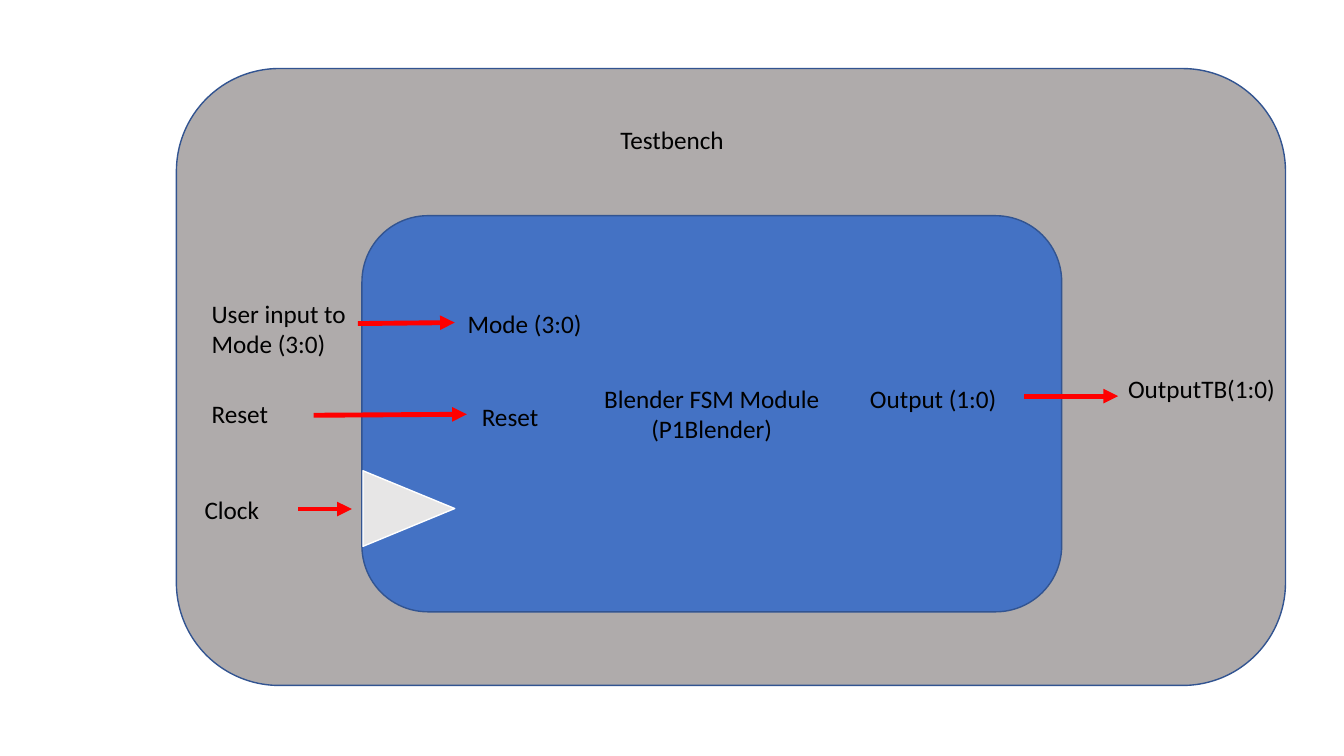
import pptx
import pptx.util
import pptx.dml.color
import pptx.enum.shapes
import pptx.enum.text
import pptx.oxml
import pptx.oxml.ns
from pptx.util import Inches

SHAPE = pptx.enum.shapes.MSO_SHAPE
ALIGN = pptx.enum.text.PP_ALIGN


def rgb(value):
    return pptx.dml.color.RGBColor.from_string(value)


def write(tf, text, size=18, font="Calibri", color="000000", align=ALIGN.LEFT):
    p = tf.paragraphs[0]
    p.alignment = align
    r = p.add_run()
    r.text = text
    r.font.size = pptx.util.Pt(size)
    r.font.name = font
    r.font.color.rgb = rgb(color)


class Diagram:
    """Style and current slide of the block diagram."""
    outline = "325491"
    signal = "FF0000"

    def __init__(self, s):
        self.s = s

    def block(self, kind, x, y, w, h, fill, line=outline, rotation=0):
        sp = self.s.shapes.add_shape(kind, Inches(x), Inches(y), Inches(w), Inches(h))
        sp.shadow.inherit = False
        sp.fill.solid()
        sp.fill.fore_color.rgb = rgb(fill)
        sp.line.color.rgb = rgb(line)
        sp.line.width = pptx.util.Pt(1)
        sp.rotation = rotation

    def label(self, text, x, y, w, h=0.4, **fmt):
        sp = self.s.shapes.add_textbox(Inches(x), Inches(y), Inches(w), Inches(h))
        sp.text_frame.word_wrap = True
        write(sp.text_frame, text, **fmt)

    def arrow(self, x1, y1, x2, y2):
        sp = self.s.shapes.add_connector(
            pptx.enum.shapes.MSO_CONNECTOR.STRAIGHT,
            Inches(x1), Inches(y1), Inches(x2), Inches(y2))
        sp.line.color.rgb = rgb(self.signal)
        sp.line.width = pptx.util.Pt(3.5)
        ns = pptx.oxml.ns.nsdecls("a")
        sp.line._get_or_add_ln().append(
            pptx.oxml.parse_xml(f'<a:tailEnd {ns} type="triangle"/>'))
        sp._element.spPr.append(pptx.oxml.parse_xml(f"<a:effectLst {ns}/>"))


def main():
    prs = pptx.Presentation()
    prs.slide_width, prs.slide_height = Inches(13.33), Inches(7.5)
    d = Diagram(prs.slides.add_slide(prs.slide_layouts[6]))

    # Testbench and its signals
    d.block(SHAPE.ROUNDED_RECTANGLE, 1.75, 0.68, 11, 6.12, "AFABAB")
    d.label("Testbench", 5.04, 1.18, 3.25, align=ALIGN.CENTER)
    d.label("Reset", 2, 3.9, 1.92, 0.63)
    d.label("User input to Mode (3:0)", 2, 2.91, 1.92, 0.71)
    d.label("OutputTB(1:0)", 11.09, 3.65, 2.06)

    # Blender module with its clock input and ports
    d.block(SHAPE.ROUNDED_RECTANGLE, 3.59, 2.14, 6.94, 3.93, "4472C4")
    d.block(SHAPE.ISOSCELES_TRIANGLE, 3.68, 4.59, 0.75, 0.91, "E7E6E6",
            line="FFFFFF", rotation=90)
    d.label("Clock", 1.93, 4.85, 1.59)
    d.label("Blender FSM Module (P1Blender)", 5.71, 3.75, 2.7, 0.71,
            align=ALIGN.CENTER)
    d.label("Reset", 4.68, 3.93, 1.59)
    d.label("Mode (3:0)", 4.54, 3.01, 1.59)
    d.label("Output (1:0)", 8.53, 3.75, 1.71)

    # Signal arrows: output, clock, reset, mode
    for ends in ((10.16, 3.93, 11.09, 3.93), (2.96, 5.05, 3.49, 5.05),
                 (3.11, 4.12, 4.63, 4.11), (3.55, 3.21, 4.51, 3.2)):
        d.arrow(*ends)

    prs.save("out.pptx")


if __name__ == "__main__":
    main()
